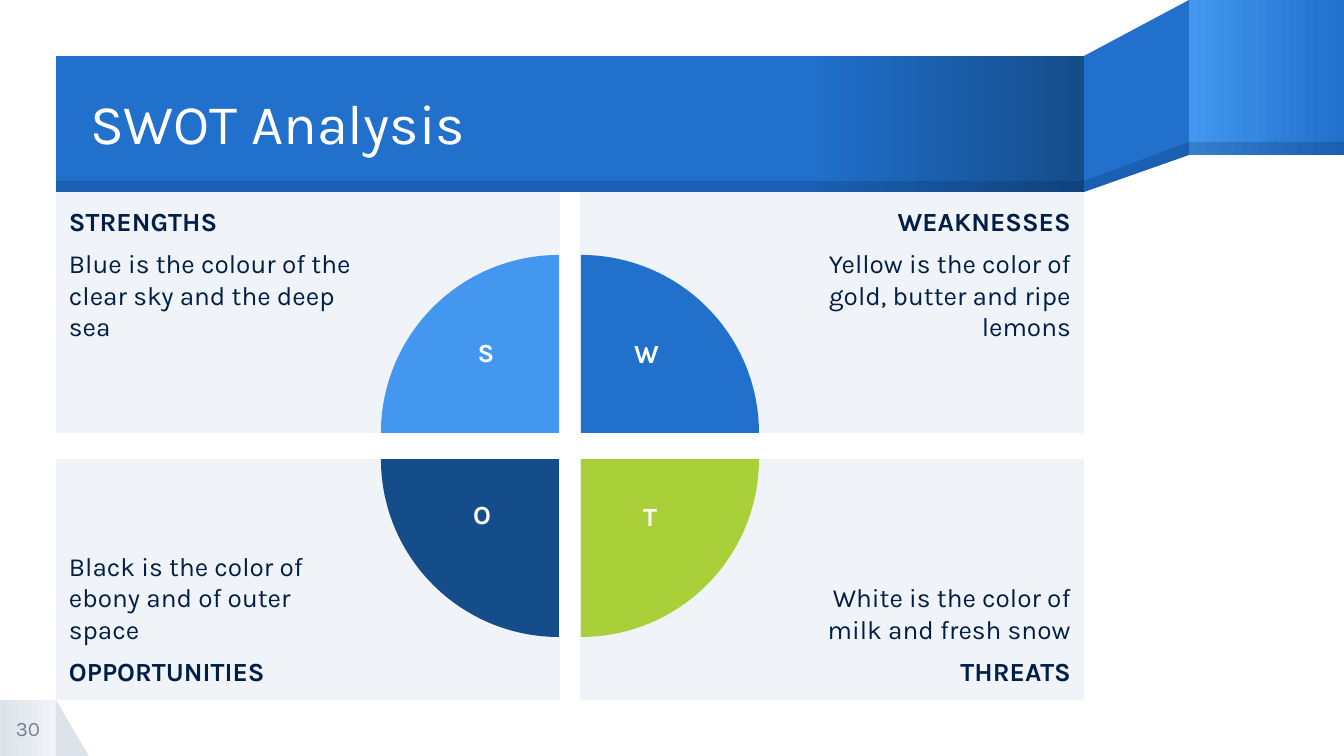
from pptx import Presentation
from pptx.dml.color import RGBColor
from pptx.enum.shapes import MSO_SHAPE
from pptx.enum.text import MSO_ANCHOR, MSO_AUTO_SIZE, PP_ALIGN
from pptx.oxml.xmlchemy import OxmlElement
from pptx.util import Pt

RECTANGLE, TRIANGLE, PIE = MSO_SHAPE.RECTANGLE, MSO_SHAPE.RIGHT_TRIANGLE, MSO_SHAPE.PIE
TOP, MIDDLE, BOTTOM = MSO_ANCHOR.TOP, MSO_ANCHOR.MIDDLE, MSO_ANCHOR.BOTTOM
LEFT, CENTER, RIGHT = PP_ALIGN.LEFT, PP_ALIGN.CENTER, PP_ALIGN.RIGHT
NO_AUTOFIT = MSO_AUTO_SIZE.NONE

WHITE = RGBColor(0xFF, 0xFF, 0xFF)
NAVY = RGBColor(0x00, 0x1F, 0x46)
DARK_BLUE = RGBColor(0x15, 0x4C, 0x8A)
BLUE = RGBColor(0x21, 0x70, 0xCC)
LIGHT_BLUE = RGBColor(0x43, 0x97, 0xEE)
GREEN = RGBColor(0xA9, 0xD0, 0x39)
PALE = RGBColor(0xF0, 0xF3, 0xF7)
GRAY = RGBColor(0xDD, 0xE3, 0xEB)
SLATE = RGBColor(0x74, 0x83, 0x94)

SCALE = 914400 / 134.4


def px(*lengths):
    return [round(length * SCALE) for length in lengths]


def write(shape, paragraphs, size, color, align, anchor, insets):
    frame = shape.text_frame
    left, top, right, bottom = px(*insets)
    frame_format = {
        "word_wrap": True, "auto_size": NO_AUTOFIT, "vertical_anchor": anchor,
        "margin_left": left, "margin_top": top,
        "margin_right": right, "margin_bottom": bottom,
    }
    for name, value in frame_format.items():
        setattr(frame, name, value)
    for index, (text, bold) in enumerate(paragraphs):
        paragraph = frame.add_paragraph() if index else frame.paragraphs[0]
        paragraph.alignment = align
        if index:
            paragraph.space_before = Pt(6)
            paragraph.space_after = Pt(6)
        run = paragraph.add_run()
        run.text = text
        for name, value in {"name": "Karla", "size": Pt(size), "bold": bold}.items():
            setattr(run.font, name, value)
        run.font.color.rgb = color


presentation = Presentation()
presentation.slide_width, presentation.slide_height = px(1344, 756)
slide = presentation.slides.add_slide(presentation.slide_layouts[5])
shapes = slide.shapes

ribbon_side = [(1189, 0), (1084, 56), (1084, 192), (1189, 155)]
ribbon_side_edge = [(1189, 142), (1084, 181), (1084, 192), (1189, 155)]
decorations = [
    (TRIANGLE, (56, 700, 33, 56), [GRAY], 0),
    (RECTANGLE, (0, 700, 56, 56), [GRAY, PALE], 0),
    (None, ribbon_side, [BLUE], 0),
    (RECTANGLE, (1189, 0, 155, 155), [LIGHT_BLUE, BLUE], 0),
    (RECTANGLE, (56, 56, 1028, 136), [BLUE, DARK_BLUE], 0.73),
    (None, ribbon_side_edge, [NAVY], 0),
    (RECTANGLE, (1189, 142, 155, 13), [NAVY], 0),
    (RECTANGLE, (56, 181, 1028, 11), [NAVY], 0),
]
for kind, geometry, colors, gradient_start in decorations:
    if kind is None:
        builder = shapes.build_freeform(*geometry[0], scale=SCALE)
        builder.add_line_segments(geometry[1:], close=True)
        shape = builder.convert_to_shape()
    else:
        shape = shapes.add_shape(kind, *px(*geometry))
    shape.shadow.inherit = False
    shape.line.fill.background()
    if len(colors) == 2:
        shape.fill.gradient()
        shape.fill.gradient_angle = 0
        for stop, color, position in zip(shape.fill.gradient_stops, colors, (gradient_start, 1)):
            stop.color.rgb = color
            stop.position = position
    else:
        shape.fill.solid()
        shape.fill.fore_color.rgb = colors[0]
    if colors == [NAVY]:
        alpha = OxmlElement("a:alpha")
        alpha.set("val", "20000")
        shape.fill._xPr.find(".//{*}srgbClr").append(alpha)

title = shapes.title
title.left, title.top, title.width, title.height = px(90, 58, 993, 136)
write(title, [("SWOT Analysis", False)], 30, WHITE, LEFT, MIDDLE, (0, 0, 0, 0))
title.text_frame.paragraphs[0].line_spacing = 0.9
shape.element.addnext(title.element)

page_number = shapes.add_textbox(*px(0, 700, 56, 56))
write(page_number, [("30", False)], 11, SLATE, CENTER, MIDDLE, (0, 0, 0, 0))

panels = [
    [("STRENGTHS", True), ("Blue is the colour of the clear sky and the deep sea", False)],
    [("WEAKNESSES", True), ("Yellow is the color of gold, butter and ripe lemons", False)],
    [("Black is the color of ebony and of outer space", False), ("OPPORTUNITIES", True)],
    [("White is the color of milk and fresh snow", False), ("THREATS", True)],
]
for index, paragraphs in enumerate(panels):
    row, column = divmod(index, 2)
    panel = shapes.add_shape(RECTANGLE, *px(56 + 524 * column, 192 + 267 * row, 504, 241))
    panel.shadow.inherit = False
    panel.fill.solid()
    panel.fill.fore_color.rgb = PALE
    panel.line.fill.background()
    insets = (202, 13, 13, 13) if column else (13, 13, 202, 13)
    write(panel, paragraphs, 14, NAVY, RIGHT if column else LEFT, BOTTOM if row else TOP, insets)

quadrants = [
    (0, 0, LIGHT_BLUE),
    (1, 0, BLUE),
    (1, 1, GREEN),
    (0, 1, DARK_BLUE),
]
for index, (column, row, color) in enumerate(quadrants):
    pie = shapes.add_shape(PIE, *px(381 + 22 * column, 255 + 26 * row, 356, 356))
    pie.adjustments[0] = 108
    pie.adjustments[1] = 162
    pie.rotation = 90 * index
    pie.shadow.inherit = False
    pie.fill.solid()
    pie.fill.fore_color.rgb = color
    pie.line.fill.background()

letters = [
    ("S", (462, 329, 48, 64)),
    ("W", (609, 330, 75, 64)),
    ("O", (458, 491, 48, 64)),
    ("T", (626, 493, 48, 64)),
]
for letter, box in letters:
    label = shapes.add_textbox(*px(*box))
    write(label, [(letter, True)], 14, WHITE, CENTER, TOP, (13, 7, 13, 7))

presentation.save("out.pptx")
